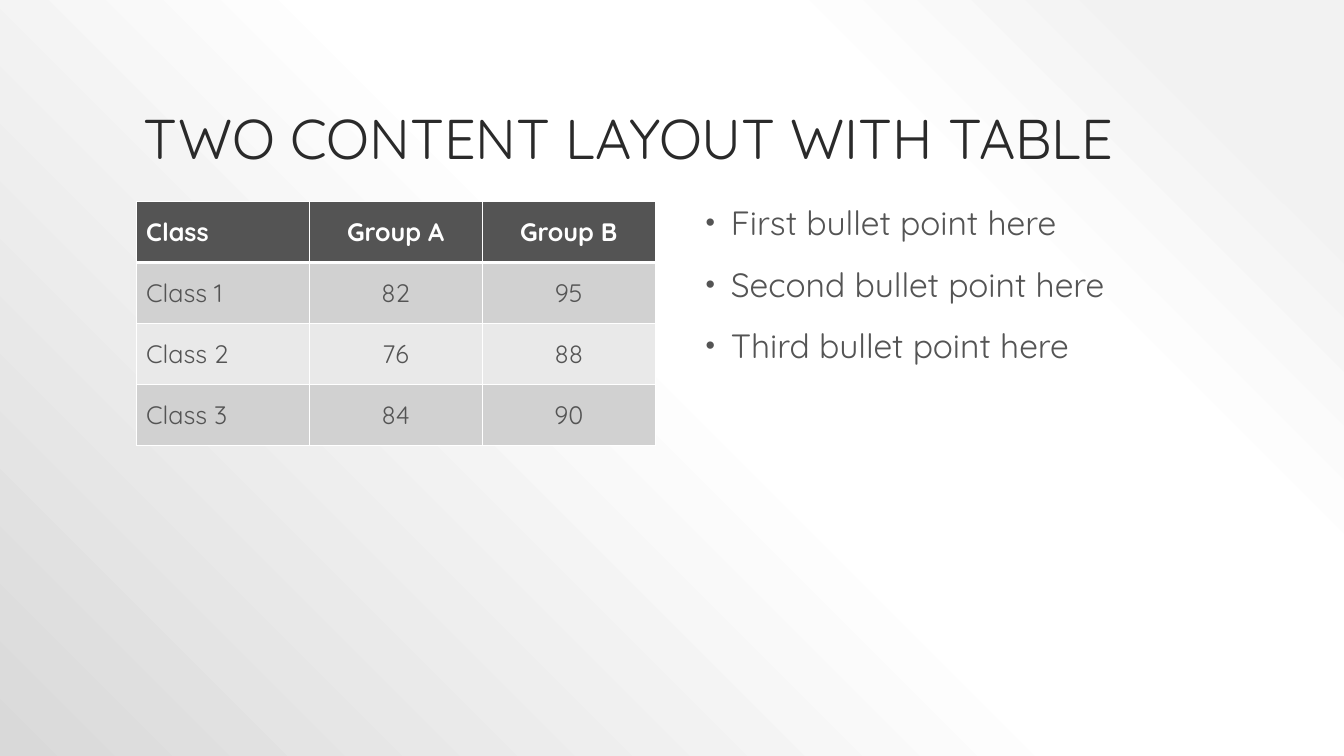
"""Build a slide with a title, a class score table and a bullet list."""
from pptx import Presentation
from pptx.dml.color import RGBColor
from pptx.enum.text import MSO_ANCHOR, PP_ALIGN
from pptx.oxml import parse_xml
from pptx.oxml.ns import nsdecls
from pptx.util import Inches, Pt

FONT = "Quicksand"
TITLE_COLOR = RGBColor(0x2A, 0x2A, 0x2A)
DARK = RGBColor(0x54, 0x54, 0x54)
WHITE = RGBColor(0xFF, 0xFF, 0xFF)
BAND_COLORS = [RGBColor(0xE9, 0xE9, 0xE9), RGBColor(0xD1, 0xD1, 0xD1)]
BACKGROUND_STOPS = [(10, "F2F2F2"), (28, "FFFFFF"), (48, "FFFFFF"), (100, "D9D9D9")]

SCORES = [
    ("Class", "Group A", "Group B"),
    ("Class 1", "82", "95"),
    ("Class 2", "76", "88"),
    ("Class 3", "84", "90"),
]
BULLETS = ["First bullet point here", "Second bullet point here", "Third bullet point here"]


def add_run(paragraph, text, size, color, bold=False):
    run = paragraph.add_run()
    run.text = text
    run.font.name = FONT
    run.font.size = Pt(size)
    run.font.bold = bold
    run.font.color.rgb = color


def add_text_frame(slide, left, top, width, height, anchor):
    text_box = slide.shapes.add_textbox(Inches(left), Inches(top), Inches(width), Inches(height))
    text_frame = text_box.text_frame
    text_frame.word_wrap = True
    text_frame.vertical_anchor = anchor
    return text_frame


presentation = Presentation()
presentation.slide_width = Inches(13.33)
presentation.slide_height = Inches(7.5)
slide = presentation.slides.add_slide(presentation.slide_layouts[6])

stops = "".join(
    f'<a:gs pos="{position * 1000}"><a:srgbClr val="{color}"/></a:gs>'
    for position, color in BACKGROUND_STOPS
)
background = parse_xml(
    f'<p:bg {nsdecls("p", "a")}><p:bgPr><a:gradFill rotWithShape="1"><a:gsLst>{stops}</a:gsLst>'
    '<a:path path="circle"><a:fillToRect l="100000" b="100000"/></a:path>'
    "</a:gradFill><a:effectLst/></p:bgPr></p:bg>"
)
slide.element.cSld.insert(0, background)

title_frame = add_text_frame(slide, 1.33, 0.3, 10.67, 1.45, MSO_ANCHOR.BOTTOM)
title = title_frame.paragraphs[0]
title.line_spacing = 0.9
add_run(title, "TWO CONTENT LAYOUT WITH TABLE", 40, TITLE_COLOR)

content_top, content_width = 2, 5.15
table = slide.shapes.add_table(
    len(SCORES), len(SCORES[0]),
    Inches(1.35), Inches(content_top), Inches(content_width), Inches(2.42),
).table
table.horz_banding = False

for row, values in enumerate(SCORES):
    is_header = row == 0
    edge_widths = {"L": 1, "R": 1, "T": 3 if row == 1 else 1, "B": 3 if is_header else 1}
    for column, value in enumerate(values):
        cell = table.cell(row, column)
        cell.vertical_anchor = MSO_ANCHOR.MIDDLE
        cell.fill.solid()
        cell.fill.fore_color.rgb = DARK if is_header else BAND_COLORS[row % 2]
        paragraph = cell.text_frame.paragraphs[0]
        paragraph.alignment = PP_ALIGN.CENTER if column else PP_ALIGN.LEFT
        add_run(paragraph, value, 18, WHITE if is_header else DARK, is_header)
        cell_properties = cell._tc.get_or_add_tcPr()
        for order, (edge, width) in enumerate(edge_widths.items()):
            border = parse_xml(
                f'<a:ln{edge} {nsdecls("a")} w="{Pt(width)}"><a:solidFill>'
                f'<a:srgbClr val="{WHITE}"/></a:solidFill></a:ln{edge}>'
            )
            cell_properties.insert(order, border)

bullet_frame = add_text_frame(slide, 6.85, content_top, content_width, 4.75, MSO_ANCHOR.TOP)
for index, text in enumerate(BULLETS):
    paragraph = bullet_frame.add_paragraph() if index else bullet_frame.paragraphs[0]
    paragraph.line_spacing = 0.9
    paragraph.space_before = Pt(18)
    add_run(paragraph, text, 24, DARK)
    properties = paragraph._p.get_or_add_pPr()
    properties.set("marL", str(Inches(0.3)))
    properties.set("indent", str(Inches(-0.25)))
    for markup in (
        f'<a:buClr {nsdecls("a")}><a:srgbClr val="{DARK}"/></a:buClr>',
        f'<a:buSzPct {nsdecls("a")} val="80000"/>',
        f'<a:buFont {nsdecls("a")} typeface="Arial"/>',
        f'<a:buChar {nsdecls("a")} char="•"/>',
    ):
        properties.append(parse_xml(markup))

presentation.save("out.pptx")
